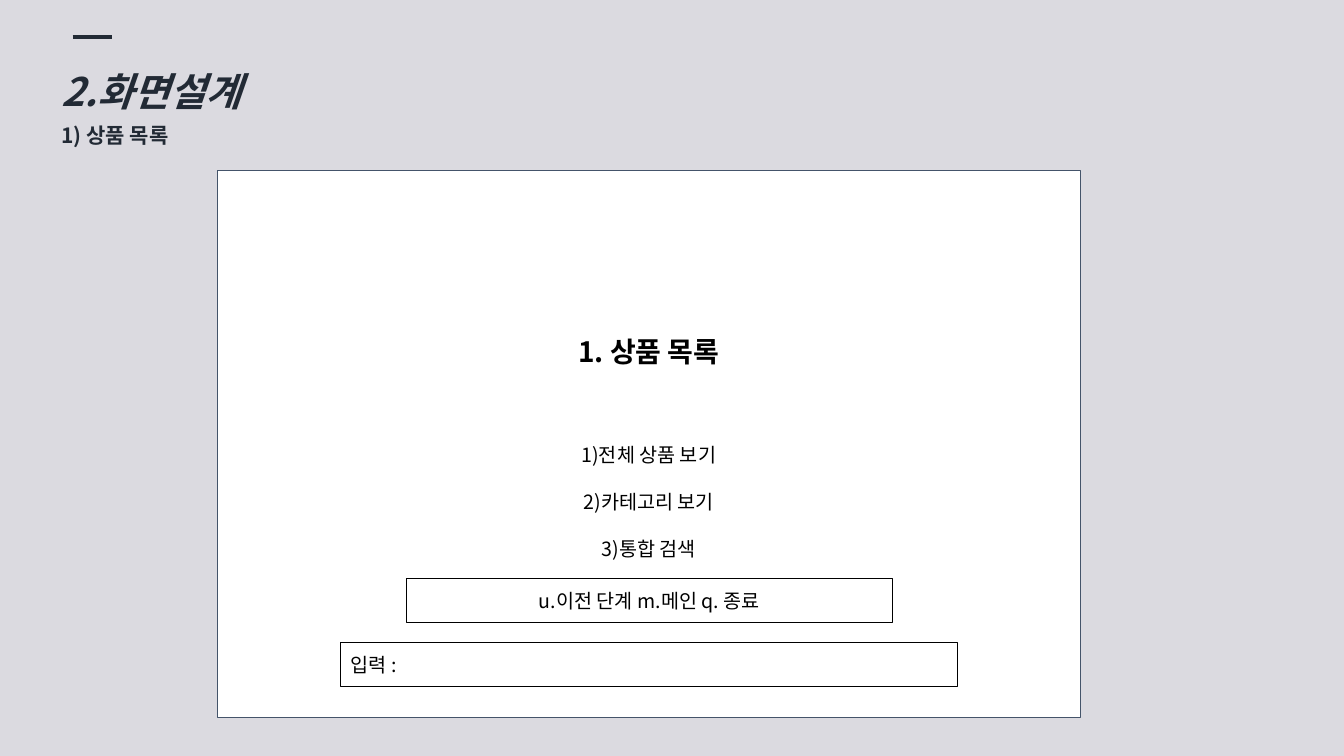
from lxml.etree import SubElement
from pptx import Presentation
from pptx.dml.color import RGBColor
from pptx.enum.shapes import MSO_CONNECTOR, MSO_SHAPE
from pptx.enum.text import MSO_ANCHOR, PP_ALIGN
from pptx.oxml.ns import qn
from pptx.util import Inches, Pt

FONT = "Noto Sans CJK KR"
COLORS = {
    "background": "DBDAE0",
    "heading": "222A35",
    "panel": "FFFFFF",
    "panel_edge": "44546A",
    "ink": "000000",
}


def color(name):
    return RGBColor.from_string(COLORS[name])


def write(paragraph, text, size=14, tone="ink", bold=False, italic=False,
          align=PP_ALIGN.CENTER, line=None, before=0):
    paragraph.alignment = align
    paragraph.space_before = Pt(before)
    if line:
        paragraph.line_spacing = Pt(line)
    run = paragraph.add_run()
    run.text = text
    font = run.font
    font.name, font.size, font.bold, font.italic = FONT, Pt(size), bold, italic
    font.color.rgb = color(tone)
    SubElement(font._element, qn("a:ea")).set("typeface", FONT)


def prepare_frame(shape, inset_y=0.1, anchor=MSO_ANCHOR.TOP):
    frame = shape.text_frame
    frame.word_wrap = True
    frame.vertical_anchor = anchor
    frame.margin_left = frame.margin_right = Inches(0.1)
    frame.margin_top = frame.margin_bottom = Inches(inset_y)
    return frame


def text_area(slide, left, top, width, height, **frame_format):
    area = slide.shapes.add_textbox(
        Inches(left), Inches(top), Inches(width), Inches(height))
    return prepare_frame(area, **frame_format)


def outlined_box(slide, left, top, width, height, edge="ink", fill=None):
    box = slide.shapes.add_shape(
        MSO_SHAPE.RECTANGLE,
        Inches(left), Inches(top), Inches(width), Inches(height))
    box.shadow.inherit = False
    if fill:
        box.fill.solid()
        box.fill.fore_color.rgb = color(fill)
    else:
        box.fill.background()
    box.line.color.rgb = color(edge)
    box.line.width = Pt(0.75)
    return box


def add_heading(slide, left, top, width, height):
    # Title and subtitle
    heading = text_area(slide, left, top, width, height, inset_y=0.05)
    write(heading.paragraphs[0], "2.화면설계", size=28, tone="heading",
          bold=True, italic=True, align=PP_ALIGN.LEFT, line=53.5)
    write(heading.add_paragraph(), "1) 상품 목록", size=15, tone="heading",
          bold=True, align=PP_ALIGN.LEFT, line=24)

    # Accent dash above the title
    dash_left, dash_y = left + 0.21, top + 0.03
    dash = slide.shapes.add_connector(
        MSO_CONNECTOR.STRAIGHT, Inches(dash_left), Inches(dash_y),
        Inches(dash_left + 0.39), Inches(dash_y))
    dash.line.color.rgb = color("heading")
    dash.line.width = Pt(3)
    SubElement(dash._element.spPr, qn("a:effectLst"))


def add_screen(slide, left, top, width, height):
    outlined_box(slide, left, top, width, height,
                 edge="panel_edge", fill="panel")
    center = left + width / 2

    # Screen title
    title = text_area(slide, center - 1.6, top + 1.53, 3.19, 0.54,
                      anchor=MSO_ANCHOR.MIDDLE)
    write(title.paragraphs[0], "1. 상품 목록", size=20, bold=True)

    # Menu choices
    menu = text_area(slide, center - 1.85, top + 2.58, 3.69, 1.85)
    choices = ["1)전체 상품 보기", "2)카테고리 보기", "3)통합 검색"]
    for index, choice in enumerate(choices):
        paragraph = menu.add_paragraph() if index else menu.paragraphs[0]
        write(paragraph, choice, line=18.5, before=15 if index else 0)

    # Input prompt and navigation keys
    bars = [
        ("입력 :", 6.12, 4.68, PP_ALIGN.LEFT),
        ("u.이전 단계 m.메인 q. 종료", 4.82, 4.05, PP_ALIGN.CENTER),
    ]
    for label, bar_width, offset, align in bars:
        bar = outlined_box(slide, center - bar_width / 2, top + offset,
                           bar_width, 0.44)
        frame = prepare_frame(bar, anchor=MSO_ANCHOR.MIDDLE)
        write(frame.paragraphs[0], label, align=align)


def main():
    deck = Presentation()
    deck.slide_width, deck.slide_height = Inches(13.33), Inches(7.5)
    slide = deck.slides.add_slide(deck.slide_layouts[6])
    slide.background.fill.solid()
    slide.background.fill.fore_color.rgb = color("background")
    add_heading(slide, 0.51, 0.34, 4.3, 1.14)
    add_screen(slide, 2.16, 1.69, 8.56, 5.43)
    deck.save("out.pptx")


if __name__ == "__main__":
    main()
